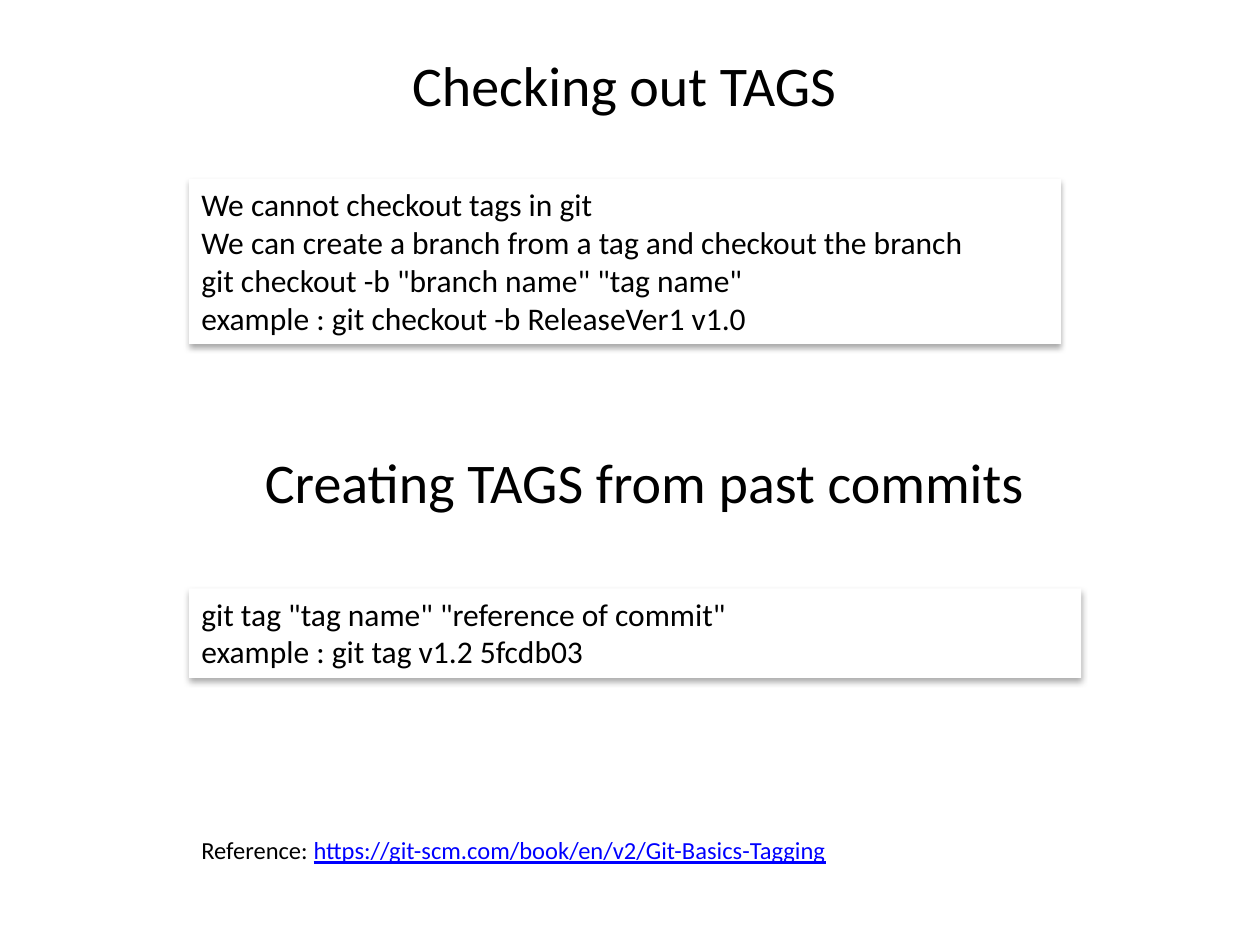
from lxml import etree
from pptx import Presentation
from pptx.dml.color import RGBColor
from pptx.enum import shapes, text
from pptx.oxml.ns import qn
from pptx.util import Inches, Pt

BLACK = RGBColor(0, 0, 0)
WHITE = RGBColor(255, 255, 255)
BLUE = RGBColor(0, 0, 255)


def style(para, size, align=text.PP_ALIGN.LEFT):
    para.alignment = align
    para.font.name = "Calibri"
    para.font.size = Pt(size)
    para.font.color.rgb = BLACK


def add_text(slide, box):
    frame = slide.shapes.add_textbox(*map(Inches, box)).text_frame
    frame.word_wrap = True
    return frame.paragraphs[0]


def add_title(slide, box, words):
    para = add_text(slide, box)
    para.text = words
    style(para, 32, text.PP_ALIGN.CENTER)


def add_shadow(shape):
    shape.shadow.inherit = False
    effects = shape._element.spPr.find(qn("a:effectLst"))
    outer = etree.SubElement(
        effects, qn("a:outerShdw"), blurRad=str(Pt(3.5)), dist=str(Pt(2.2)),
        dir="5400000", rotWithShape="0")
    color = etree.SubElement(outer, qn("a:srgbClr"), val=str(BLACK))
    etree.SubElement(color, qn("a:alpha"), val="32000")


def add_panel(slide, box, lines):
    panel = slide.shapes.add_shape(
        shapes.MSO_SHAPE.RECTANGLE, *map(Inches, box))
    panel.fill.solid()
    panel.fill.fore_color.rgb = WHITE
    panel.line.fill.background()
    add_shadow(panel)
    frame = panel.text_frame
    frame.word_wrap = True
    frame.vertical_anchor = text.MSO_ANCHOR.TOP
    frame.text = "\n".join(lines)
    for para in frame.paragraphs:
        style(para, 18)


def add_source(slide, box, label, address):
    para = add_text(slide, box)
    style(para, 14)
    para.add_run().text = label
    link = para.add_run()
    link.text = address
    link.font.color.rgb = BLUE
    link.font.underline = True


deck = Presentation()
deck.slide_width, deck.slide_height = Inches(10), Inches(7.5)
slide = deck.slides.add_slide(deck.slide_layouts[6])

add_title(slide, (0.83, 0.35, 8.25, 0.64), "Checking out TAGS")
add_panel(slide, (1.5, 1.42, 6.92, 1.31), [
    "We cannot checkout tags in git",
    "We can create a branch from a tag and checkout the branch",
    'git checkout -b "branch name" "tag name"',
    "example : git checkout -b ReleaseVer1 v1.0",
])
add_title(slide, (0.99, 3.5, 8.25, 0.64), "Creating TAGS from past commits")
add_panel(slide, (1.5, 4.67, 7.08, 0.71), [
    'git tag "tag name" "reference of commit"',
    "example : git tag v1.2 5fcdb03",
])
add_source(slide, (1.5, 6.58, 7.33, 0.34), "Reference: ",
           "https://git-scm.com/book/en/v2/Git-Basics-Tagging")

deck.save("out.pptx")
